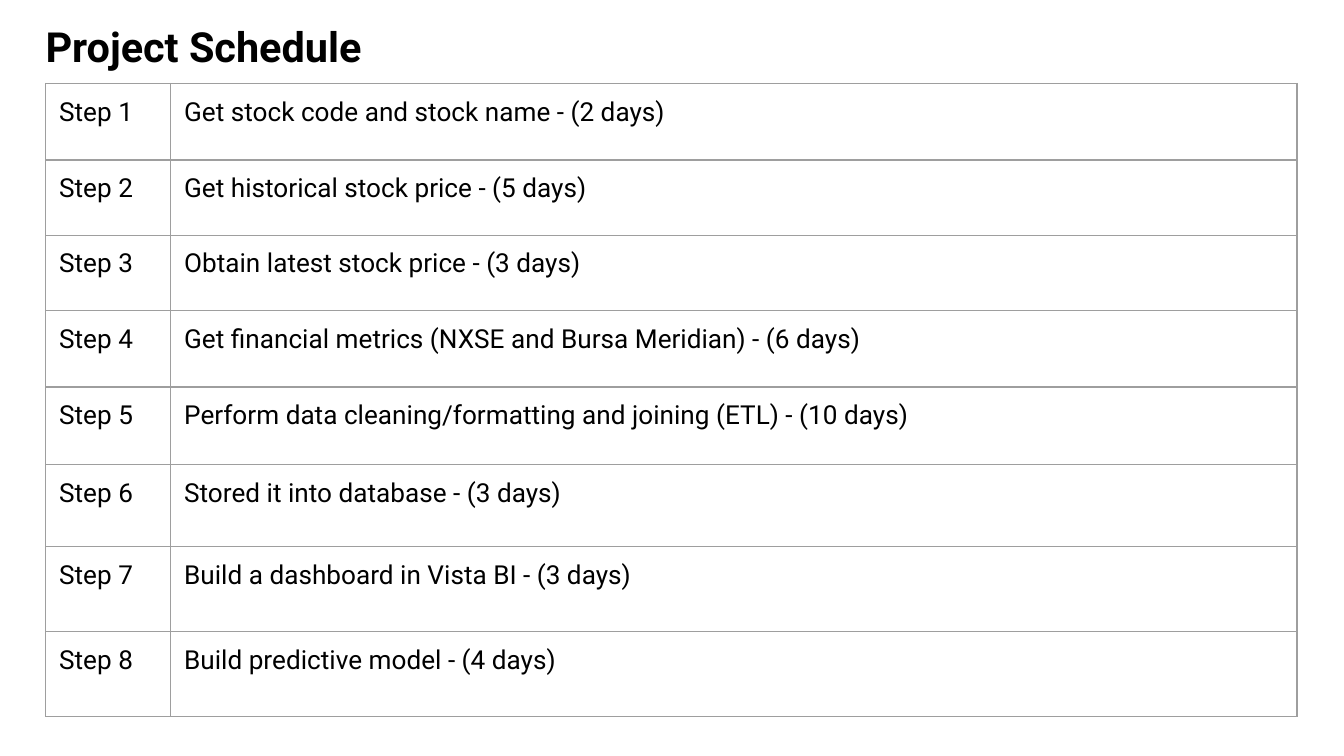
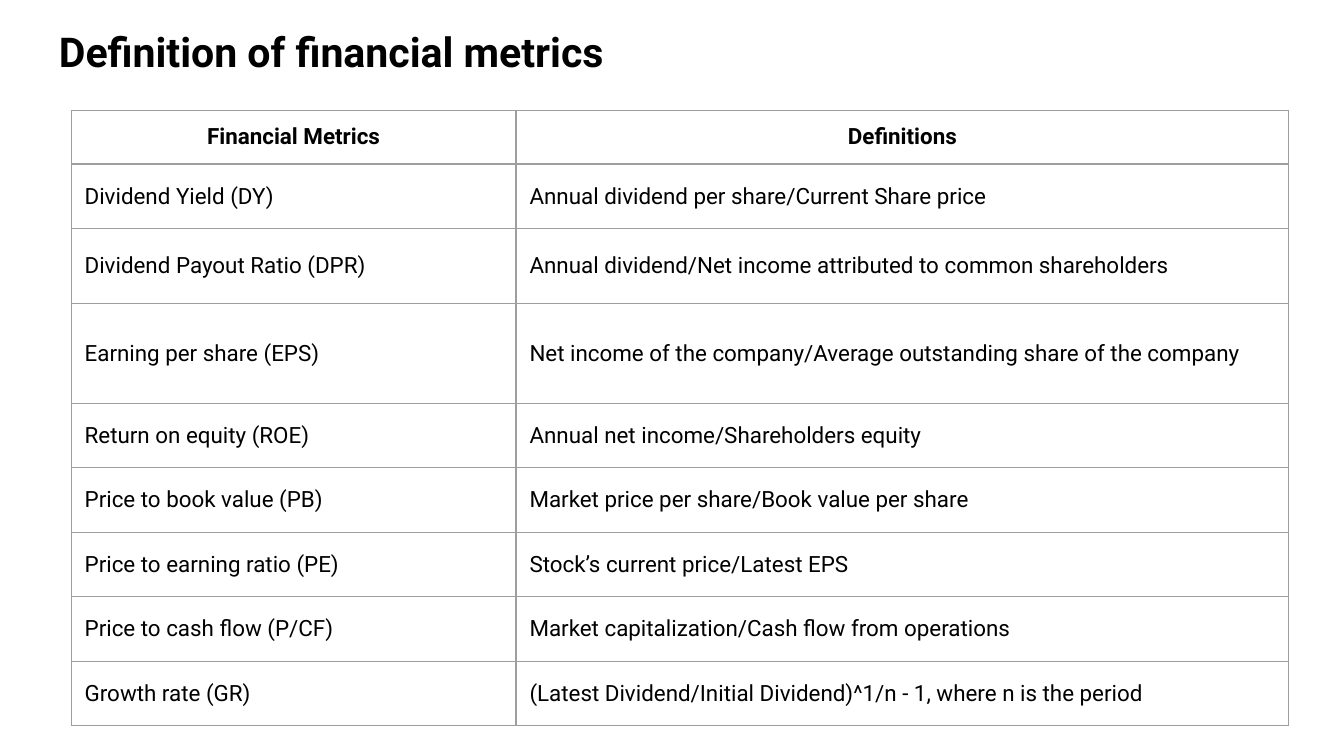
from dataclasses import dataclass

from lxml import etree
from pptx import Presentation
from pptx.dml.color import RGBColor
from pptx.enum import text
from pptx.oxml import ns
from pptx.slide import Slide
from pptx.table import _Cell
from pptx.text.text import TextFrame
from pptx.util import Inches, Pt

PAGE_WIDTH = Inches(10)
PAGE_HEIGHT = PAGE_WIDTH * 9 // 16
FONT = "Roboto"
INK = RGBColor(0x00, 0x00, 0x00)
PAPER = RGBColor(0xFF, 0xFF, 0xFF)
RULE = RGBColor(0x9E, 0x9E, 0x9E)
RULE_WIDTH = Pt(0.75)
INSET = Inches(0.1)

LEFT, CENTER, JUSTIFY = (
    text.PP_ALIGN.LEFT,
    text.PP_ALIGN.CENTER,
    text.PP_ALIGN.JUSTIFY,
)


@dataclass
class Title:
    wording: str
    left: float
    top: float
    size: float


@dataclass
class Grid:
    left: float
    top: float
    columns: list[float]
    heights: list[float]
    rows: list[tuple[str, str]]
    size: float
    align: text.PP_ALIGN
    anchor: text.MSO_ANCHOR
    has_header: bool = False


STEPS = [
    "Get stock code and stock name - (2 days)",
    "Get historical stock price - (5 days)",
    "Obtain latest stock price - (3 days)",
    "Get financial metrics (NXSE and Bursa Meridian) - (6 days)",
    "Perform data cleaning/formatting and joining (ETL) - (10 days)",
    "Stored it into database - (3 days)",
    "Build a dashboard in Vista BI - (3 days)",
    "Build predictive model - (4 days)",
]

METRICS = [
    ("Financial Metrics", "Definitions"),
    ("Dividend Yield (DY)", "Annual dividend per share/Current Share price"),
    ("Dividend Payout Ratio (DPR)",
     "Annual dividend/Net income attributed to common shareholders"),
    ("Earning per share (EPS)",
     "Net income of the company/Average outstanding share of the company"),
    ("Return on equity (ROE)", "Annual net income/Shareholders equity"),
    ("Price to book value (PB)", "Market price per share/Book value per share"),
    ("Price to earning ratio (PE)", "Stock’s current price/Latest EPS"),
    ("Price to cash flow (P/CF)", "Market capitalization/Cash flow from operations"),
    ("Growth rate (GR)",
     "(Latest Dividend/Initial Dividend)^1/n - 1, where n is the period"),
]

SCHEDULE = Grid(
    left=0.34, top=0.62, columns=[0.93, 8.38],
    heights=[0.57, 0.56, 0.56, 0.57, 0.58, 0.61, 0.63, 0.63],
    rows=[(f"Step {number}", step) for number, step in enumerate(STEPS, 1)],
    size=14, align=LEFT, anchor=text.MSO_ANCHOR.TOP,
)
DEFINITIONS = Grid(
    left=0.53, top=0.82, columns=[3.31, 5.75],
    heights=[0.39, 0.48, 0.56, 0.74] + [0.48] * 5,
    rows=METRICS,
    size=12, align=JUSTIFY, anchor=text.MSO_ANCHOR.MIDDLE, has_header=True,
)
PAGES = [
    (Title("Project Schedule", 0.24, 0.06, 22.2), SCHEDULE),
    (Title("Definition of financial metrics", 0.34, 0.1, 22), DEFINITIONS),
]


def write(frame: TextFrame, wording: str, size: float,
          align: text.PP_ALIGN, bold: bool) -> None:
    frame.text = wording
    para = frame.paragraphs[0]
    para.alignment = align
    font = para.runs[0].font
    font.name, font.size, font.bold = FONT, Pt(size), bold
    font.color.rgb = INK


def set_insets(target: TextFrame | _Cell) -> None:
    target.margin_left = target.margin_right = INSET
    target.margin_top = target.margin_bottom = INSET


def add_borders(cell: _Cell) -> None:
    """Rule all four sides; call before filling, as the schema orders lines first."""
    properties = cell._tc.get_or_add_tcPr()
    for side in ("lnL", "lnR", "lnT", "lnB"):
        line = etree.SubElement(properties, ns.qn(f"a:{side}"), w=str(RULE_WIDTH))
        fill = etree.SubElement(line, ns.qn("a:solidFill"))
        etree.SubElement(fill, ns.qn("a:srgbClr"), val=str(RULE))


def add_title(page: Slide, title: Title) -> None:
    box = page.shapes.add_textbox(
        Inches(title.left), Inches(title.top), Inches(9.32), Inches(0.63))
    frame = box.text_frame
    frame.word_wrap = True
    set_insets(frame)
    write(frame, title.wording, title.size, JUSTIFY, bold=True)


def add_grid(page: Slide, grid: Grid) -> None:
    table = page.shapes.add_table(
        len(grid.rows), len(grid.columns), Inches(grid.left), Inches(grid.top),
        Inches(sum(grid.columns)), Inches(sum(grid.heights))).table
    table.first_row = grid.has_header
    table.horz_banding = False
    for column, width in zip(table.columns, grid.columns):
        column.width = Inches(width)
    for index, (row, height) in enumerate(zip(table.rows, grid.heights)):
        row.height = Inches(height)
        is_header = grid.has_header and index == 0
        for cell, wording in zip(row.cells, grid.rows[index]):
            set_insets(cell)
            cell.vertical_anchor = grid.anchor
            add_borders(cell)
            cell.fill.background()
            write(cell.text_frame, wording, grid.size,
                  CENTER if is_header else grid.align, bold=is_header)


def main() -> None:
    deck = Presentation()
    deck.slide_width, deck.slide_height = PAGE_WIDTH, PAGE_HEIGHT
    for title, grid in PAGES:
        page = deck.slides.add_slide(deck.slide_layouts[6])
        page.background.fill.solid()
        page.background.fill.fore_color.rgb = PAPER
        add_title(page, title)
        add_grid(page, grid)
    deck.save("out.pptx")


if __name__ == "__main__":
    main()
